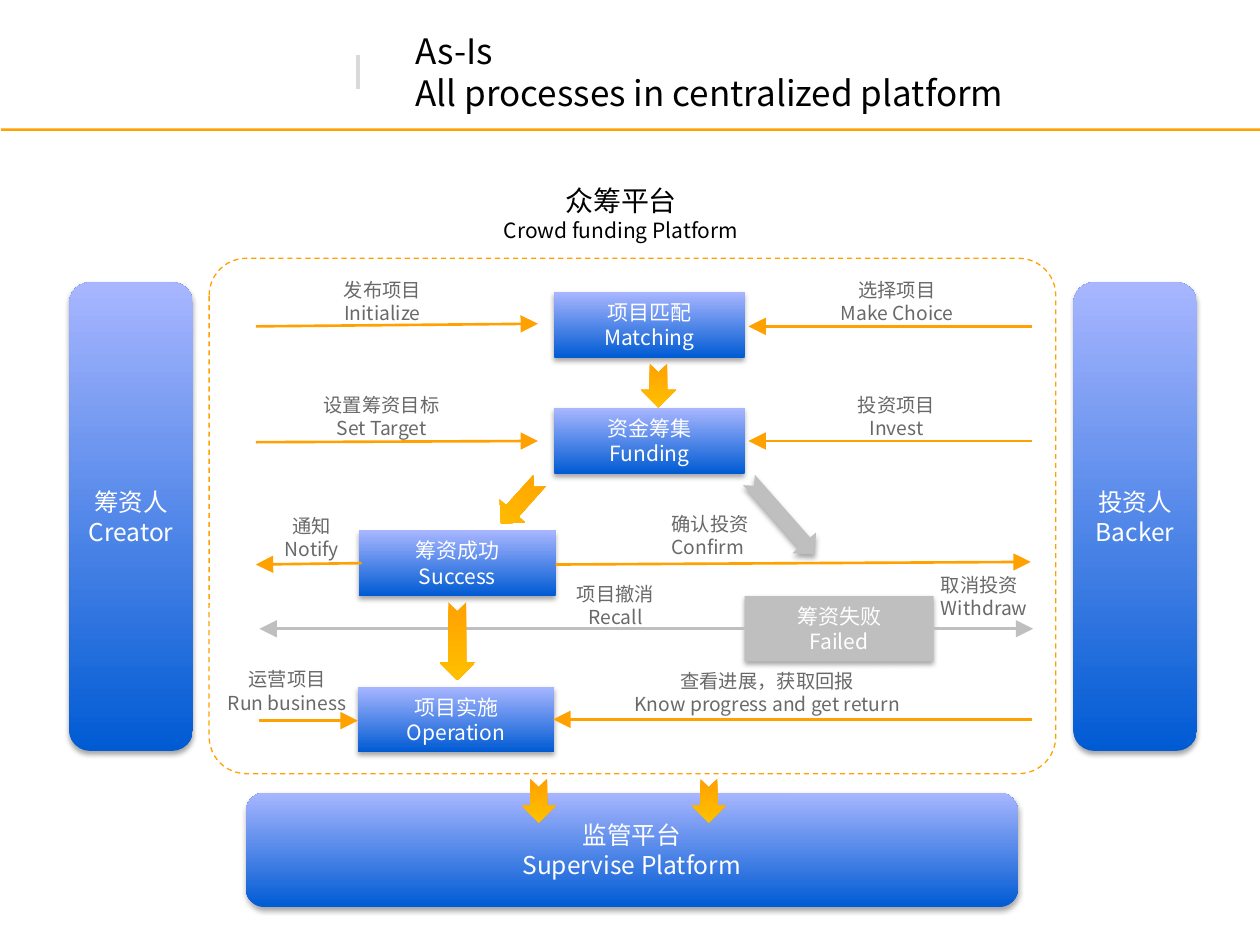
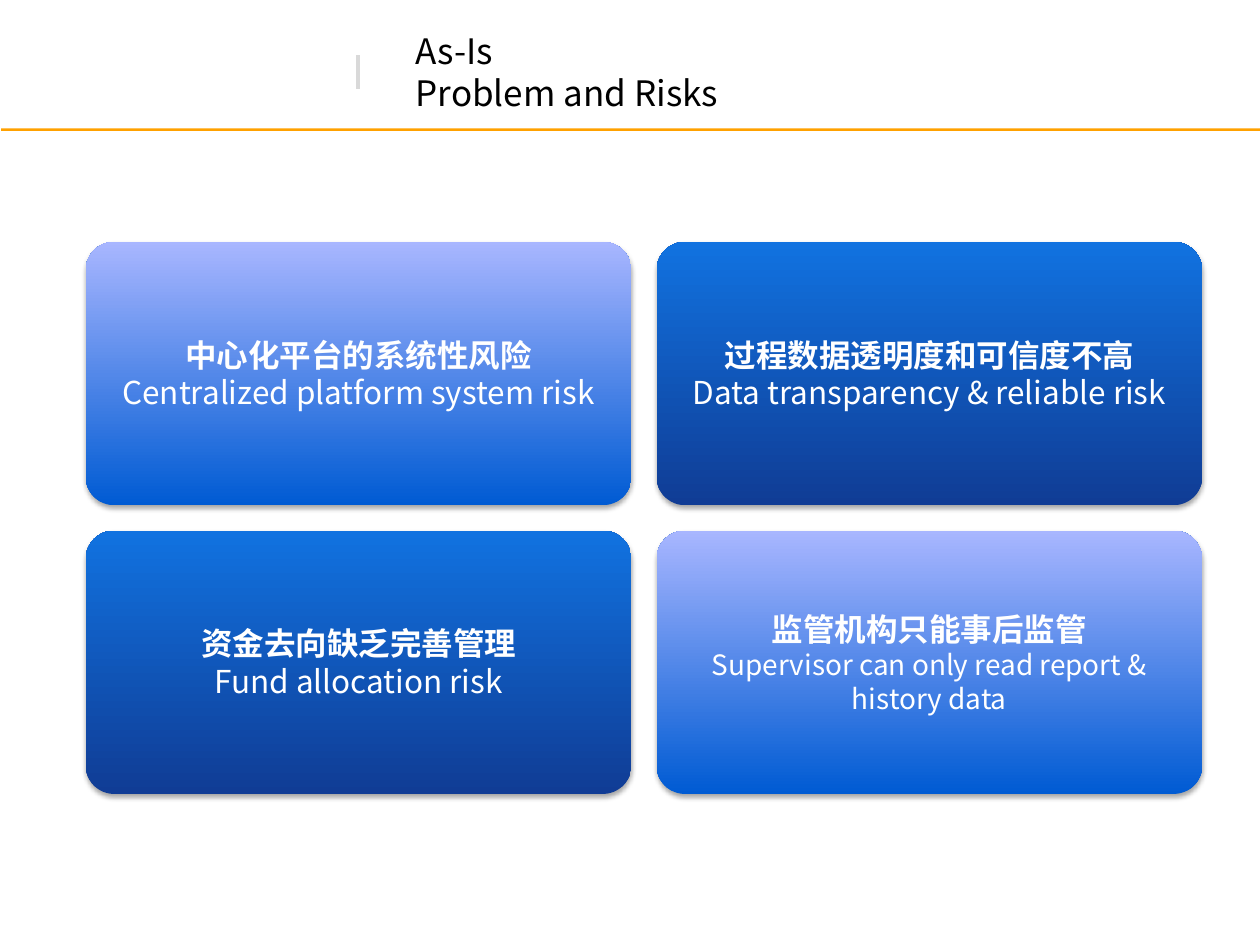
from lxml import etree
from pptx import Presentation
from pptx.dml.color import RGBColor
from pptx.enum.dml import MSO_LINE
from pptx.enum.shapes import MSO_CONNECTOR as Connector, MSO_SHAPE as Preset
from pptx.enum.text import MSO_ANCHOR as Anchor, PP_ALIGN as Align
from pptx.oxml import parse_xml
from pptx.oxml.ns import nsdecls, qn
from pptx.util import Pt

FONT = "Noto Sans CJK SC"
WHITE, BLACK, TEXT_GRAY = "FFFFFF", "000000", "696969"
ORANGE, GRAY, DIVIDER = "FFA100", "BFBFBF", "D9D9D9"
# Gradients run from the first colour to the second
LIGHT_BLUE = ("005BD3", "A8B6FF")
DARK_BLUE = ("103C95", "1172E0")
GOLD = ("FFA100", "FFC000")
LINE_HEIGHT = 1.2

# Slide 1: process diagram
PROCESS_TITLE = ["As-Is", "All processes in centralized platform"]
PARTIES = [  # lines, (left, top, width, height)
    (["筹资人", "Creator"], (39.6, 161.3, 70.6, 267.8)),
    (["投资人", "Backer"], (613.4, 161.3, 70.6, 267.8)),
    (["监管平台", "Supervise Platform"], (140.4, 452.9, 441.4, 65.5)),
]
STEP_HEIGHT = 37.4
STEPS = [  # lines, left, top, width, fill
    (["项目匹配", "Matching"], 316.8, 167, 108.7, LIGHT_BLUE),
    (["资金筹集", "Funding"], 316.8, 233.3, 108.7, LIGHT_BLUE),
    (["筹资成功", "Success"], 205.2, 303.1, 112.3, LIGHT_BLUE),
    (["筹资失败", "Failed"], 425.5, 340.6, 108, GRAY),
    (["项目实施", "Operation"], 204.5, 392.4, 112.3, LIGHT_BLUE),
]
BLOCK_ARROWS = [  # box before rotation, rotation, fill
    ((363.6, 210.2, 25.2, 20.2), 90, GOLD),
    ((280.8, 277.2, 33.1, 19.4), 131.9, GOLD),
    ((418.3, 286.6, 56.9, 18), 48.6, GRAY),
    ((239, 356.4, 44.6, 20.2), 90, GOLD),
    ((295.2, 447.8, 25.2, 19.4), 90, GOLD),
    ((392.4, 447.8, 25.2, 19.4), 90, GOLD),
]
FLOWS = [  # start x, start y, end x, end y, colour
    (146.2, 186.5, 307.4, 185, ORANGE),
    (589.7, 186.5, 427.7, 186.5, ORANGE),
    (146.2, 252.7, 307.4, 252, ORANGE),
    (589.7, 252, 427.7, 252, ORANGE),
    (206.6, 321.8, 146.2, 322.6, ORANGE),
    (317.5, 322.6, 589, 321.1, ORANGE),
    (148.3, 411.8, 204.5, 411.8, ORANGE),
    (589.7, 411.1, 316.1, 411.1, ORANGE),
    (425.5, 359.3, 148.3, 359.3, GRAY),
    (533.5, 359.3, 590.4, 359.3, GRAY),
]
LABEL_HEIGHT = 34.6
LABELS = [  # lines, left, top, width, alignment
    (["发布项目", "Initialize"], 189.4, 155.5, 58.3, Align.CENTER),
    (["选择项目", "Make Choice"], 470.9, 155.5, 83.5, Align.CENTER),
    (["设置筹资目标", "Set Target"], 177.8, 221, 80.6, Align.CENTER),
    (["投资项目", "Invest"], 483.1, 221, 58.3, Align.CENTER),
    (["通知", "Notify"], 154.8, 290.2, 46.8, Align.CENTER),
    (["确认投资", "Confirm"], 376.6, 289.4, 58.3, Align.LEFT),
    (["运营项目", "Run business"], 122.4, 378, 83.5, Align.CENTER),
    (["查看进展，获取回报", "Know progress and get return"],
     352.1, 378.7, 172.8, Align.CENTER),
    (["项目撤消", "Recall"], 322.6, 329, 58.3, Align.CENTER),
    (["取消投资", "Withdraw"], 530.6, 324, 65.5, Align.LEFT),
]
PLATFORM_NAME = ["众筹平台", "Crowd funding Platform"]

# Slide 2: grid of risks
RISKS_TITLE = ["As-Is", "Problem and Risks"]
RISKS = [  # Chinese, English, English size
    ("中心化平台的系统性风险", "Centralized platform system risk", 18),
    ("过程数据透明度和可信度不高", "Data transparency & reliable risk", 18),
    ("资金去向缺乏完善管理", "Fund allocation risk", 18),
    ("监管机构只能事后监管", "Supervisor can only read report & history data", 16),
]
CARD_LEFT, CARD_TOP, CARD_WIDTH, CARD_HEIGHT = 49, 138.2, 311.8, 150.5
CARD_STEP_X, CARD_STEP_Y = 326.2, 165


def rgb(color):
    return RGBColor.from_string(color)


def points(box):
    return [Pt(value) for value in box]


def write(shape, lines, sizes, color, align=Align.CENTER, wrap=True,
          anchor=Anchor.MIDDLE, bold_first=False):
    """Write one paragraph for each line, each with its own size."""
    frame = shape.text_frame
    frame.word_wrap = wrap
    frame.vertical_anchor = anchor
    frame.text = "\n".join(lines)
    for index, (paragraph, size) in enumerate(zip(frame.paragraphs, sizes)):
        paragraph.alignment = align
        paragraph.line_spacing = Pt(size * LINE_HEIGHT)
        font = paragraph.font
        font.name, font.size, font.color.rgb = FONT, Pt(size), rgb(color)
        font.bold = bold_first and index == 0
        for run in paragraph.runs:
            east_asian = etree.SubElement(run.font._element, qn("a:ea"))
            east_asian.set("typeface", FONT)


def add_text(slide, lines, sizes, color, box, **options):
    write(slide.shapes.add_textbox(*points(box)), lines, sizes, color, **options)


def add_block(slide, preset, box, fill, angle=90, shadow=False):
    """Add a shape without outline; a pair of colours makes a gradient."""
    shape = slide.shapes.add_shape(preset, *points(box))
    shape.line.fill.background()
    if isinstance(fill, tuple):
        shape.fill.gradient()
        shape.fill.gradient_angle = angle
        for stop, color in zip(shape.fill.gradient_stops, fill):
            stop.color.rgb = rgb(color)
    else:
        shape.fill.solid()
        shape.fill.fore_color.rgb = rgb(fill)
    shape.shadow.inherit = False
    if shadow:
        effects = shape._element.spPr.find(qn("a:effectLst"))
        effects.append(parse_xml(
            f'<a:outerShdw {nsdecls("a")} blurRad="{Pt(3.1)}" dist="{Pt(1.8)}" '
            'dir="5400000" rotWithShape="0"><a:srgbClr val="000000">'
            '<a:alpha val="35000"/></a:srgbClr></a:outerShdw>'))
    return shape


def add_line(slide, ends, color, width, arrow=False):
    line = slide.shapes.add_connector(Connector.STRAIGHT, *points(ends))
    line.line.color.rgb = rgb(color)
    line.line.width = Pt(width)
    if arrow:
        etree.SubElement(line.line._get_or_add_ln(), qn("a:tailEnd"),
                         type="triangle", w="lg", len="lg")
    etree.SubElement(line._element.spPr, qn("a:effectLst"))


def add_titled_slide(presentation, title):
    slide = presentation.slides.add_slide(presentation.slide_layouts[6])
    add_text(slide, title, (20, 20), BLACK, (230.4, 11.5, 416.9, 59),
             align=Align.LEFT)
    add_line(slide, (204.5, 31.7, 204.5, 51.1), DIVIDER, 2)
    add_block(slide, Preset.RECTANGLE, (0.7, 73.4, 720, 1.4), ORANGE)
    return slide


def build_process(presentation):
    slide = add_titled_slide(presentation, PROCESS_TITLE)

    # Platform frame and its name
    frame = slide.shapes.add_shape(Preset.ROUNDED_RECTANGLE,
                                   *points((119.5, 147.6, 483.8, 294.5)))
    frame.adjustments[0] = 0.072
    frame.fill.background()
    frame.line.color.rgb = rgb(ORANGE)
    frame.line.width = Pt(0.75)
    frame.line.dash_style = MSO_LINE.DASH
    frame.shadow.inherit = False
    add_text(slide, PLATFORM_NAME, (16, 12), BLACK, (278.6, 101.5, 152.6, 42.5),
             wrap=False, anchor=Anchor.TOP)

    # Parties and steps
    for lines, box in PARTIES:
        party = add_block(slide, Preset.ROUNDED_RECTANGLE, box, LIGHT_BLUE,
                          shadow=True)
        write(party, lines, (14, 14), WHITE)
    for lines, left, top, width, fill in STEPS:
        step = add_block(slide, Preset.RECTANGLE, (left, top, width, STEP_HEIGHT),
                         fill, shadow=True)
        write(step, lines, (12, 12), WHITE)

    # Flows, their labels and the block arrows
    for *ends, color in FLOWS:
        add_line(slide, ends, color, 1.5, arrow=True)
    for lines, left, top, width, align in LABELS:
        add_text(slide, lines, (11, 11), TEXT_GRAY, (left, top, width, LABEL_HEIGHT),
                 align=align, wrap=False, anchor=Anchor.TOP)
    for box, rotation, fill in BLOCK_ARROWS:
        arrow = add_block(slide, Preset.NOTCHED_RIGHT_ARROW, box, fill, angle=0,
                          shadow=fill == GRAY)
        arrow.rotation = rotation


def build_risks(presentation):
    slide = add_titled_slide(presentation, RISKS_TITLE)
    for index, (chinese, english, english_size) in enumerate(RISKS):
        row, column = divmod(index, 2)
        box = (CARD_LEFT + column * CARD_STEP_X, CARD_TOP + row * CARD_STEP_Y,
               CARD_WIDTH, CARD_HEIGHT)
        fill = LIGHT_BLUE if row == column else DARK_BLUE
        card = add_block(slide, Preset.ROUNDED_RECTANGLE, box, fill, shadow=True)
        card.adjustments[0] = 0.108
        write(card, [chinese, english], (18, english_size), WHITE, bold_first=True)


def main():
    presentation = Presentation()
    presentation.slide_width, presentation.slide_height = Pt(720), Pt(540)
    build_process(presentation)
    build_risks(presentation)
    presentation.save("out.pptx")


if __name__ == "__main__":
    main()
